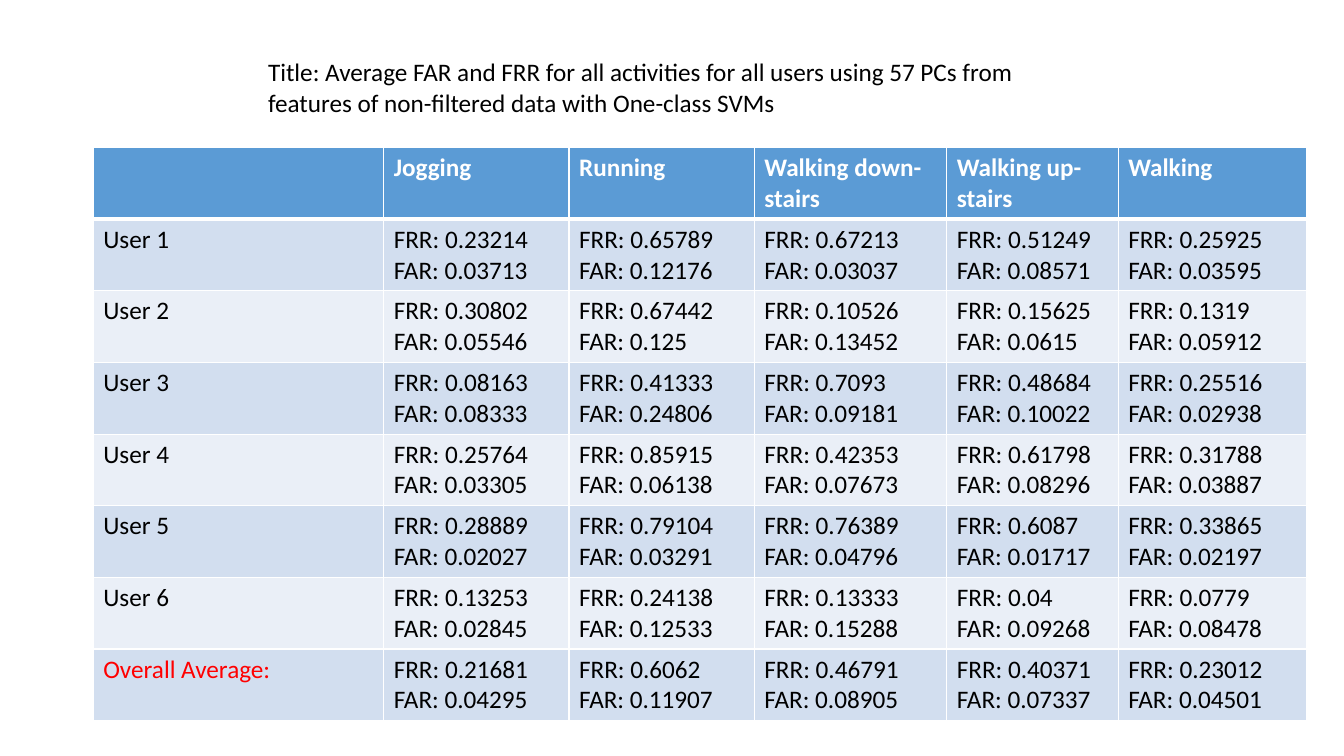
from lxml.etree import SubElement
from pptx import Presentation
from pptx.dml.color import RGBColor
from pptx.enum.text import MSO_ANCHOR, MSO_AUTO_SIZE, PP_ALIGN
from pptx.oxml.ns import qn
from pptx.util import Cm, Pt

# Content
TITLE = ("Title: Average FAR and FRR for all activities for all users using "
         "57 PCs from features of non-filtered data with One-class SVMs")
ACTIVITIES = ["", "Jogging", "Running", "Walking down-stairs",
              "Walking up-stairs", "Walking"]
# One (FRR, FAR) pair per activity
RATES = {
    "User 1": [(0.23214, 0.03713), (0.65789, 0.12176), (0.67213, 0.03037),
               (0.51249, 0.08571), (0.25925, 0.03595)],
    "User 2": [(0.30802, 0.05546), (0.67442, 0.125), (0.10526, 0.13452),
               (0.15625, 0.0615), (0.1319, 0.05912)],
    "User 3": [(0.08163, 0.08333), (0.41333, 0.24806), (0.7093, 0.09181),
               (0.48684, 0.10022), (0.25516, 0.02938)],
    "User 4": [(0.25764, 0.03305), (0.85915, 0.06138), (0.42353, 0.07673),
               (0.61798, 0.08296), (0.31788, 0.03887)],
    "User 5": [(0.28889, 0.02027), (0.79104, 0.03291), (0.76389, 0.04796),
               (0.6087, 0.01717), (0.33865, 0.02197)],
    "User 6": [(0.13253, 0.02845), (0.24138, 0.12533), (0.13333, 0.15288),
               (0.04, 0.09268), (0.0779, 0.08478)],
    "Overall Average:": [(0.21681, 0.04295), (0.6062, 0.11907),
                         (0.46791, 0.08905), (0.40371, 0.07337),
                         (0.23012, 0.04501)],
}
COLORS = {"text": "000000", "white": "FFFFFF", "average": "FF0000",
          "header": "5B9BD5", "odd": "D2DEEF", "even": "EAEFF7"}
COLUMN_WIDTHS = [7.32, 4.67, 4.67, 4.85, 4.32, 4.75]
ROW_HEIGHT = 1.78


def write(frame, text, color="text", bold=False):
    """Fill a text frame, one paragraph per line of text."""
    frame.text = text
    for paragraph in frame.paragraphs:
        paragraph.alignment = PP_ALIGN.LEFT
        font = paragraph.font
        for run in paragraph.runs:
            font = run.font
            font.name, font.size, font.bold = "Calibri", Pt(18), bold
            font.color.rgb = RGBColor.from_string(COLORS[color])


def style_cell(cell, fill, bottom=1, top=1):
    """Draw white borders (widths in points) and then the fill."""
    properties = cell._tc.get_or_add_tcPr()
    for side, width in {"L": 1, "R": 1, "T": top, "B": bottom}.items():
        line = SubElement(properties, qn(f"a:ln{side}"), w=str(Pt(width)))
        solid = SubElement(line, qn("a:solidFill"))
        SubElement(solid, qn("a:srgbClr"), val=COLORS["white"])
    cell.fill.solid()
    cell.fill.fore_color.rgb = RGBColor.from_string(COLORS[fill])


presentation = Presentation()
presentation.slide_width, presentation.slide_height = Cm(33.87), Cm(19.05)
slide = presentation.slides.add_slide(presentation.slide_layouts[5])

# Title
title = slide.shapes.title
title.left, title.top, title.width, title.height = Cm(6.5), Cm(1.3), Cm(20.65), Cm(1.8)
title.text_frame.word_wrap = True
title.text_frame.auto_size = MSO_AUTO_SIZE.NONE
title.text_frame.vertical_anchor = MSO_ANCHOR.TOP
write(title.text_frame, TITLE)

# Table of error rates
row_count = len(RATES) + 1
rates_table = slide.shapes.add_table(
    row_count, len(ACTIVITIES), Cm(2.35), Cm(3.72),
    Cm(sum(COLUMN_WIDTHS)), Cm(ROW_HEIGHT * row_count)).table
for column, width in zip(rates_table.columns, COLUMN_WIDTHS):
    column.width = Cm(width)
for row in rates_table.rows:
    row.height = Cm(ROW_HEIGHT)

# Header row
for index, activity in enumerate(ACTIVITIES):
    header = rates_table.cell(0, index)
    write(header.text_frame, activity, color="white", bold=True)
    style_cell(header, "header", bottom=3)

# User rows and overall average
for number, (user, pairs) in enumerate(RATES.items(), start=1):
    texts = [user] + [f"FRR: {frr}\nFAR: {far}" for frr, far in pairs]
    for index, text in enumerate(texts):
        cell = rates_table.cell(number, index)
        is_average = text.startswith("Overall")
        write(cell.text_frame, text, color="average" if is_average else "text")
        style_cell(cell, "odd" if number % 2 else "even",
                   top=3 if number == 1 else 1)

presentation.save("out.pptx")
